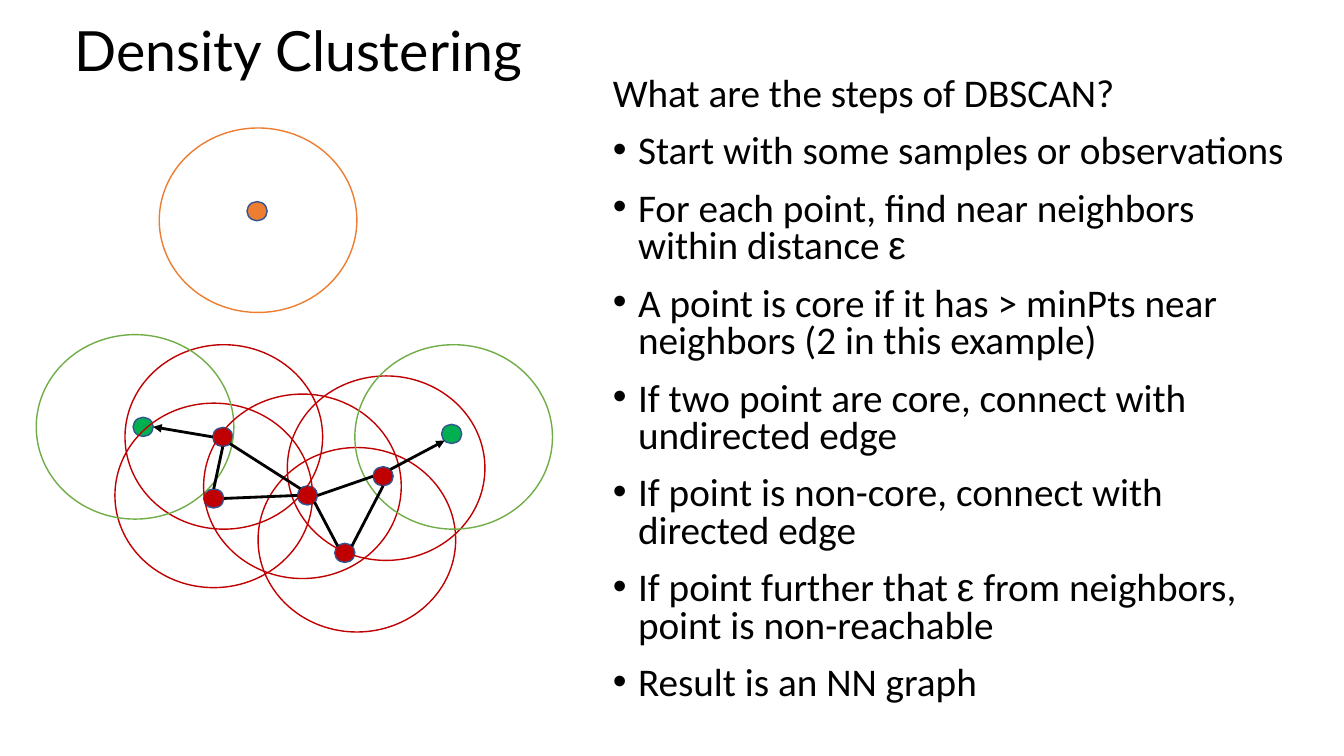
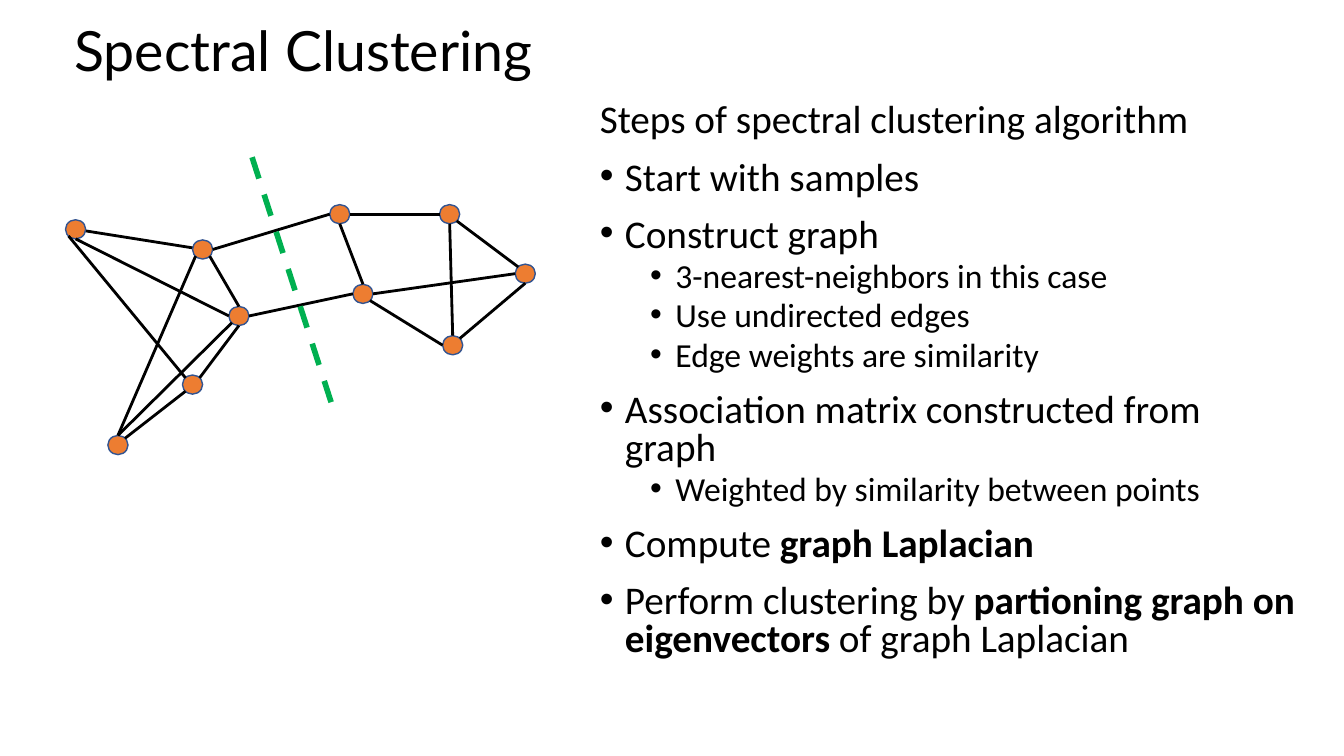
from lxml.etree import SubElement
from pptx import Presentation
from pptx.dml.color import RGBColor
from pptx.enum.dml import MSO_LINE
from pptx.enum.shapes import MSO_CONNECTOR, MSO_SHAPE
from pptx.enum.text import MSO_ANCHOR
from pptx.oxml.ns import qn
from pptx.util import Inches, Pt

BLACK = RGBColor(0x00, 0x00, 0x00)
RED = RGBColor(0xC0, 0x00, 0x00)
GREEN = RGBColor(0x00, 0xB0, 0x50)
LIGHT_GREEN = RGBColor(0x70, 0xAD, 0x47)
ORANGE = RGBColor(0xED, 0x7D, 0x31)
OUTLINE = RGBColor(0x32, 0x54, 0x91)

TITLE_FONT, BODY_FONT, SYMBOL_FONT = "Lato", "Calibri", "Arial"
DOT_SIZE = (0.2, 0.19)
RING_SIZE = (1.96, 1.83)

# Points of a dot's rim, as shares of its width and height
SITES = {
    "C": (0.5, 0.5), "N": (0.5, 0), "S": (0.5, 1), "W": (0, 0.5), "E": (1, 0.5),
    "NW": (0.15, 0.15), "NE": (0.85, 0.15), "SW": (0.15, 0.85), "SE": (0.85, 0.85),
}


class ClusterDeck:
    """Holds the shared style and the slide being built."""

    def __init__(self):
        self.deck = Presentation()
        self.deck.slide_width = Inches(13.33)
        self.deck.slide_height = Inches(7.5)
        self.page = None

    def start(self, title):
        self.page = self.deck.slides.add_slide(self.deck.slide_layouts[6])
        frame = self.frame(0.64, 0.24, 11.5, 0.58)
        frame.vertical_anchor = MSO_ANCHOR.MIDDLE
        para = frame.paragraphs[0]
        para.text = title
        para.line_spacing = 0.9
        self.style(para, TITLE_FONT, 39.6)

    def frame(self, left, top, width, height):
        box = self.page.shapes.add_textbox(
            Inches(left), Inches(top), Inches(width), Inches(height))
        box.text_frame.word_wrap = True
        return box.text_frame

    def style(self, para, name, size):
        para.font.name = name
        para.font.size = Pt(size)
        para.font.color.rgb = BLACK

    def body(self, left, top, width, height, heading, items):
        """Items are (level, text); *marked* spans are bold, or a symbol."""
        frame = self.frame(left, top, width, height)
        para = frame.paragraphs[0]
        para.text = heading
        para.line_spacing = 0.8
        self.style(para, BODY_FONT, 28)
        for level, text in items:
            para = frame.add_paragraph()
            para.level = level
            para.line_spacing = 0.8
            para.space_before = Pt(5 if level else 14)
            self.bullet(para, 0.25 + 0.5 * level)
            self.style(para, BODY_FONT, 24 if level else 28)
            for index, words in enumerate(text.split("*")):
                if not words:
                    continue
                span = para.add_run()
                span.text = words
                if words == "ε":
                    span.font.name = SYMBOL_FONT
                elif index % 2:
                    span.font.bold = True

    def bullet(self, para, indent):
        props = para._p.get_or_add_pPr()
        props.set("marL", str(Inches(indent)))
        props.set("indent", str(Inches(-0.25)))
        SubElement(props, qn("a:buFont")).set("typeface", SYMBOL_FONT)
        SubElement(props, qn("a:buChar")).set("char", "•")

    def ellipse(self, place, size, line, fill=None):
        shape = self.page.shapes.add_shape(
            MSO_SHAPE.OVAL, *(Inches(length) for length in (*place, *size)))
        shape.shadow.inherit = False
        if fill is None:
            shape.fill.background()
        else:
            shape.fill.solid()
            shape.fill.fore_color.rgb = fill
        shape.line.color.rgb = line
        shape.line.width = Pt(1)

    def dots(self, places, colors):
        for name, place in places.items():
            self.ellipse(place, DOT_SIZE, OUTLINE, colors.get(name, ORANGE))

    def line(self, start, end, color=BLACK, width=2, dash=None, arrow=False):
        link = self.page.shapes.add_connector(
            MSO_CONNECTOR.STRAIGHT, *(Inches(length) for length in (*start, *end)))
        link.line.color.rgb = color
        link.line.width = Pt(width)
        if dash:
            link.line.dash_style = dash
        if arrow:
            SubElement(link.line._get_or_add_ln(), qn("a:tailEnd")).set("type", "triangle")
        SubElement(link._element.spPr, qn("a:effectLst"))

    def edges(self, places, links, arrow=False):
        """Each link reads 'dot side dot side'."""
        for link in links:
            first, side, second, other_side = link.split()
            ends = [
                [corner + size * share for corner, size, share
                 in zip(places[dot], DOT_SIZE, SITES[site])]
                for dot, site in ((first, side), (second, other_side))
            ]
            self.line(*ends, arrow=arrow)


def density_slide(deck):
    deck.start("Density Clustering")
    deck.body(5.98, 0.72, 6.99, 6.66, "What are the steps of DBSCAN?", [
        (0, "Start with some samples or observations"),
        (0, "For each point, find near neighbors within distance *ε*"),
        (0, "A point is core if it has > minPts near neighbors (2 in this example)"),
        (0, "If two point are core, connect with undirected edge"),
        (0, "If point is non-core, connect with directed edge"),
        (0, "If point further that *ε* from neighbors, point is non-reachable"),
        (0, "Result is an NN graph"),
    ])

    # Samples: core a to e, border f and g, unreachable h
    places = {
        "a": (2.11, 4.24), "b": (2.02, 4.85), "c": (2.95, 4.82), "d": (3.7, 4.63),
        "e": (3.32, 5.39), "f": (1.32, 4.14), "g": (4.38, 4.21), "h": (2.45, 2),
    }
    deck.dots(places, {**dict.fromkeys("abcde", RED), **dict.fromkeys("fg", GREEN)})

    # Neighborhoods
    for place, color in [
        ((1.24, 3.42), RED), ((1.14, 4), RED), ((0.36, 3.32), LIGHT_GREEN),
        ((2.02, 3.91), RED), ((2.85, 3.73), RED), ((2.56, 4.44), RED),
        ((3.52, 3.42), LIGHT_GREEN), ((1.58, 1.27), ORANGE),
    ]:
        deck.ellipse(place, RING_SIZE, color)

    # Undirected, then directed edges
    deck.edges(places, ["d S e NE", "a S b N", "a SE c NW", "b E c W",
                        "c E d W", "c SE e NW"])
    deck.edges(places, ["a W f E", "d NE g SW"], arrow=True)


def spectral_slide(deck):
    deck.start("Spectral Clustering")
    deck.body(5.85, 0.98, 7.12, 6.13, "Steps of spectral clustering algorithm", [
        (0, "Start with samples"),
        (0, "Construct graph"),
        (1, "3-nearest-neighbors in this case"),
        (1, "Use undirected edges"),
        (1, "Edge weights are similarity"),
        (0, "Association matrix constructed from graph"),
        (1, "Weighted by similarity between points"),
        (0, "Compute *graph Laplacian*"),
        (0, "Perform clustering by *partioning graph on eigenvectors* of graph Laplacian"),
    ])

    # Samples: left cluster a to e, right cluster f to j
    places = {
        "a": (0.65, 2.18), "b": (1.91, 2.38), "c": (1.07, 4.32), "d": (1.81, 3.72),
        "e": (2.27, 3.04), "f": (3.27, 2.03), "g": (3.5, 2.82), "h": (4.36, 2.03),
        "i": (4.39, 3.33), "j": (5.11, 2.62),
    }
    deck.edges(places, ["a C b C"])
    deck.dots(places, {})

    # Edges within and between the clusters
    deck.edges(places, [
        "a S e W", "d NE e S", "c NE d SW", "e N b SE", "a SW d NW", "b SW c N",
        "e SW c N", "b E f W", "e E g W", "i W g SE", "g N f S", "i N h S",
        "i NE j S", "h SE j NW", "f E h W", "g E j W",
    ])

    # Cut through the graph
    deck.line((2.5, 1.56), (3.3, 4.04), GREEN, 4, MSO_LINE.DASH)


def main():
    deck = ClusterDeck()
    density_slide(deck)
    spectral_slide(deck)
    deck.deck.save("out.pptx")


if __name__ == "__main__":
    main()
